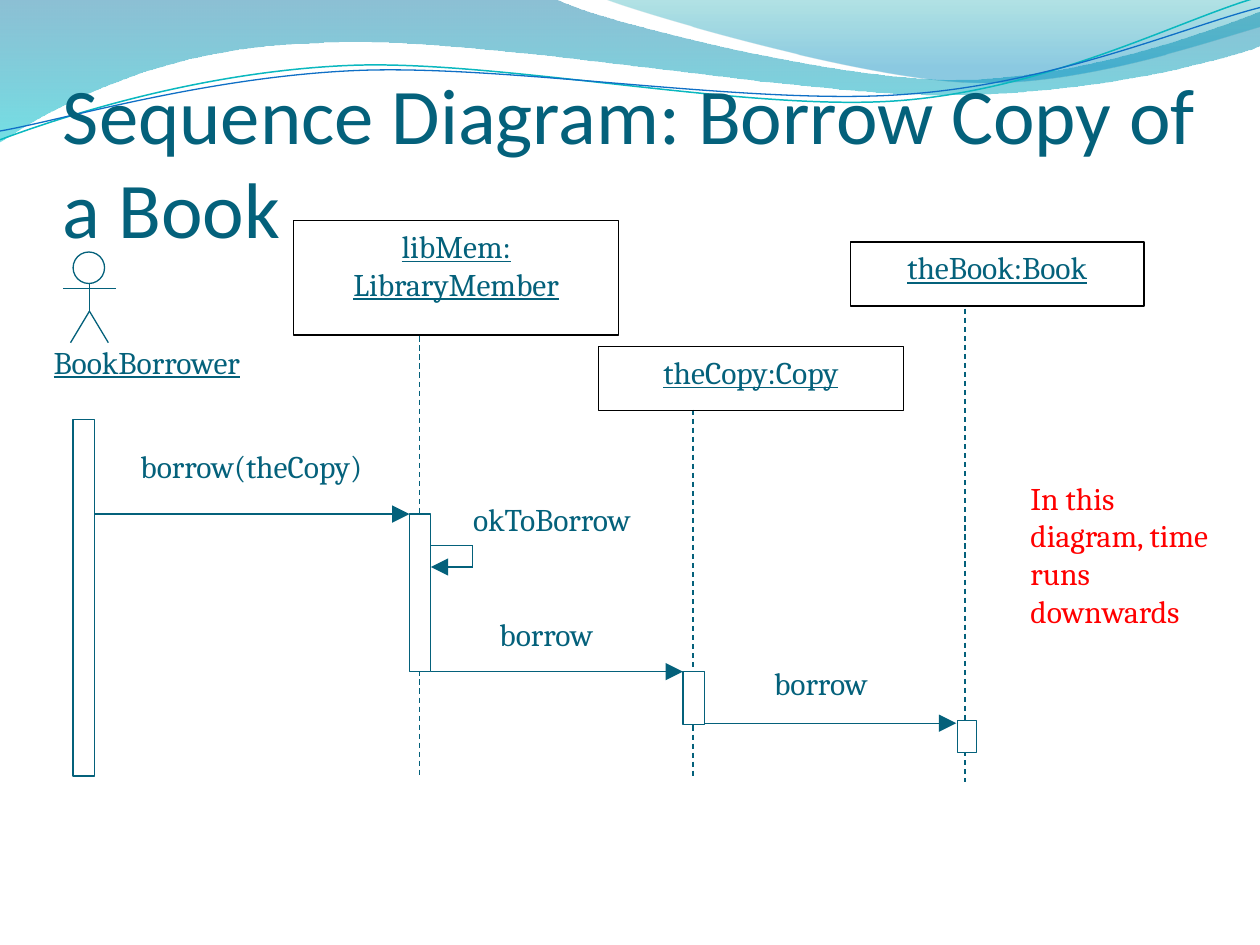
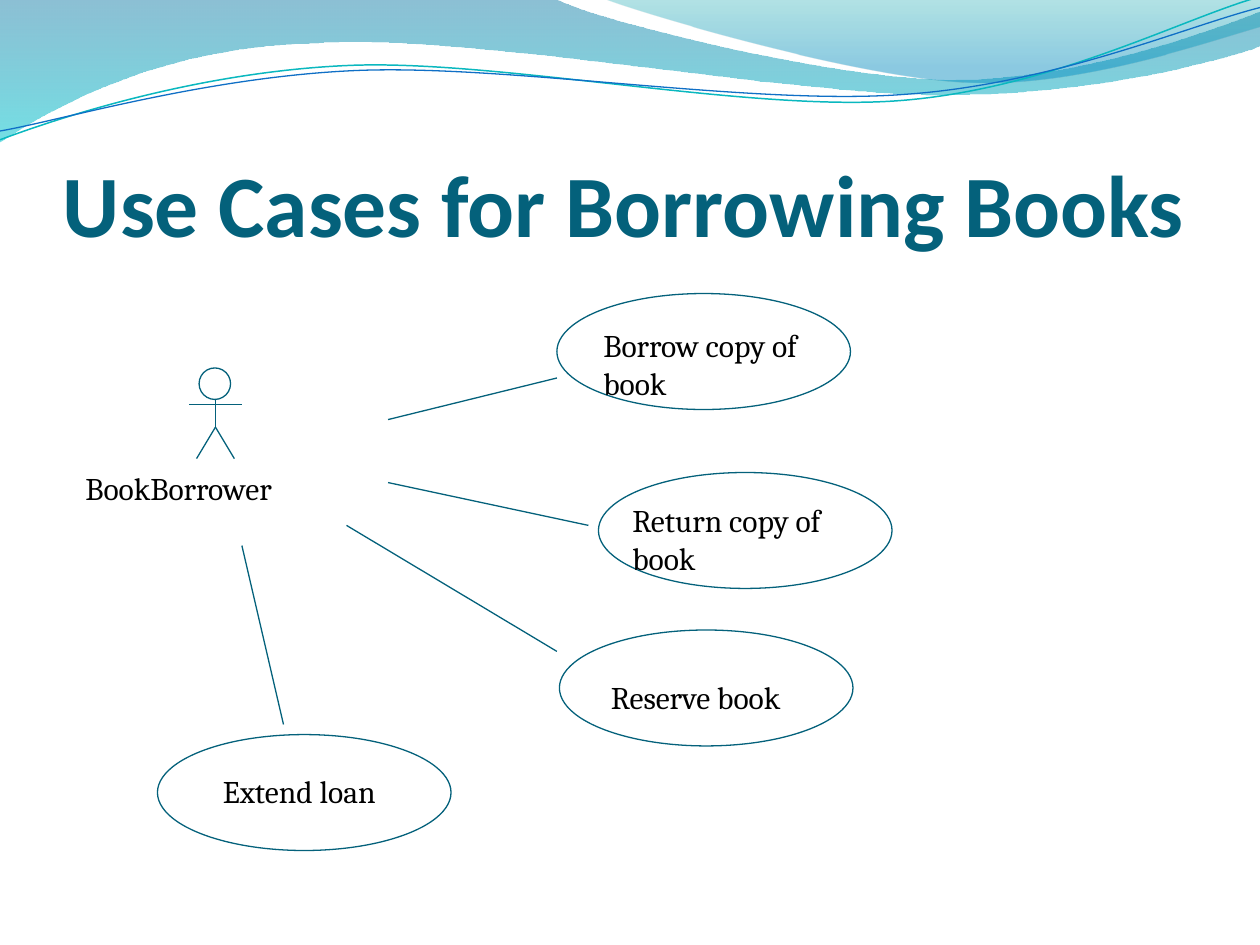
from pptx import Presentation
from pptx.dml.color import RGBColor
from pptx.enum.dml import MSO_LINE
from pptx.enum.shapes import MSO_CONNECTOR, MSO_SHAPE
from pptx.enum.text import MSO_ANCHOR, PP_ALIGN
from pptx.oxml.ns import qn
from pptx.util import Inches, Pt
from lxml.etree import SubElement

rgb = RGBColor.from_string
RECT, OVAL = MSO_SHAPE.RECTANGLE, MSO_SHAPE.OVAL
LEFT, CENTER = PP_ALIGN.LEFT, PP_ALIGN.CENTER
TEAL, BLACK, WHITE, RED = "04617B", "000000", "FFFFFF", "FF0000"
HEADING, BODY = "Calibri", "Cambria"


def add_line(shapes, start, end, dashed=False, arrow=False):
    ends = [Inches(value) for value in (*start, *end)]
    connector = shapes.add_connector(MSO_CONNECTOR.STRAIGHT, *ends)
    connector.line.color.rgb = rgb(TEAL)
    connector.line.width = Pt(0.75)
    if dashed:
        connector.line.dash_style = MSO_LINE.DASH
    properties = connector._element.spPr
    if arrow:
        SubElement(properties.find(qn("a:ln")), qn("a:tailEnd"),
                   type="triangle", w="lg", len="lg")
    SubElement(properties, qn("a:effectLst"))


def add_box(shapes, kind, box, text="", line=TEAL, fill=None, color=TEAL, size=18,
            font=BODY, align=CENTER, underline=None, bold=None):
    """Add an outlined shape, or a plain text box when kind is None."""
    area = [Inches(value) for value in box]
    if kind is None:
        shape = shapes.add_textbox(*area)
    else:
        shape = shapes.add_shape(kind, *area)
        shape.shadow.inherit = False
        shape.line.color.rgb = rgb(line)
        shape.line.width = Pt(0.75)
        if fill:
            shape.fill.solid()
            shape.fill.fore_color.rgb = rgb(fill)
        else:
            shape.fill.background()
    if text:
        frame = shape.text_frame
        frame.word_wrap = True
        frame.vertical_anchor = MSO_ANCHOR.TOP
        paragraph = frame.paragraphs[0]
        paragraph.text = text
        paragraph.alignment = align
        paragraph.font.name = font
        paragraph.font.size = Pt(size)
        paragraph.font.color.rgb = rgb(color)
        paragraph.font.underline = underline
        paragraph.font.bold = bold
    return shape


# Filled waves: start, segments (2 numbers: line, 6: curve), gradient (place, colour, opacity)
bands = [
    ((0, 0), [(4.4, -0.01), (4.76, 0.17, 6.64, 0.63, 7.58, 0.63),
              (8.53, 0.63, 9.58, 0.26, 10, 0.09), (10.01, 0.36),
              (9.83, 0.44, 8.7, 0.76, 7.46, 0.75), (6.22, 0.75, 3.82, 0.28, 2.57, 0.34),
              (1.29, 0.36, 0.46, 0.83, -0.01, 1.13)],
     [(0, "0074A1", 45), (1, "00C6CF", 55)]),
    ((4.79, -0.01), [(5.09, 0.11, 6.82, 0.62, 7.69, 0.65),
                     (8.56, 0.69, 9.61, 0.32, 10, 0.21), (10, 0)],
     [(0, "00A1A9", 30), (0.8, "008BBF", 45)]),
]
# Wave lines: start, segments, (colour, width)
strands = [
    ((0, 1.11), [(0.48, 0.93, 1.58, 0.57, 2.77, 0.52), (3.95, 0.47, 5.93, 0.89, 7.13, 0.8),
                 (8.33, 0.71, 9.38, 0.15, 9.98, -0.02)], ("0AB8BF", 0.85)),
    ((0, 1.04), [(0.47, 0.96, 1.64, 0.61, 2.83, 0.56), (4.03, 0.51, 5.97, 0.84, 7.17, 0.75),
                 (8.36, 0.67, 9.41, 0.21, 10, 0.06)], ("0F6FC6", 0.75)),
]

prs = Presentation()
prs.slide_width, prs.slide_height = Inches(10), Inches(7.5)

# Shared parts: waves, title and actor (title, size, bold, actor left and top)
pages = []
for title, size, bold, x, y in [
    ("Sequence Diagram: Borrow Copy of a Book", 45, False, 0.5, 2),
    ("Use Cases for Borrowing Books", 50, True, 1.5, 2.92),
]:
    shapes = prs.slides.add_slide(prs.slide_layouts[6]).shapes
    pages.append(shapes)

    for start, segments, style in bands + strands:
        is_band = isinstance(style, list)
        builder = shapes.build_freeform(Inches(start[0]), Inches(start[1]))
        builder.add_line_segments([(Inches(segment[-2]), Inches(segment[-1]))
                                   for segment in segments], close=is_band)
        wave = builder.convert_to_shape()
        wave.shadow.inherit = False

        # Bend the segments that have control points
        strokes = list(wave._element.iter(qn("a:lnTo")))
        for stroke, segment in zip(strokes, segments):
            if len(segment) == 6:
                end_point = stroke[0]
                stroke.tag = qn("a:cubicBezTo")
                for control in (segment[0:2], segment[2:4]):
                    SubElement(stroke, qn("a:pt"), x=str(Inches(control[0]) - wave.left),
                               y=str(Inches(control[1]) - wave.top))
                stroke.append(end_point)

        if is_band:
            wave.line.fill.background()
            wave.fill.gradient()
            wave.fill.gradient_angle = 270
            for stop, (place, color, opacity) in zip(wave.fill.gradient_stops, style):
                stop.position = place
                stop.color.rgb = rgb(color)
            stop_colors = wave._element.spPr.iter(qn("a:srgbClr"))
            for stop_color, (place, color, opacity) in zip(stop_colors, style):
                SubElement(stop_color, qn("a:alpha"), val=str(opacity * 1000))
        else:
            wave.fill.background()
            wave.line.color.rgb = rgb(style[0])
            wave.line.width = Pt(style[1])

    heading = add_box(shapes, None, (0.5, 0.77, 9, 1.25), title, size=size,
                      font=HEADING, align=LEFT, bold=bold).text_frame
    heading.vertical_anchor = MSO_ANCHOR.BOTTOM
    heading.margin_left = heading.margin_right = heading.margin_bottom = 0

    actor = shapes.add_group_shape().shapes
    add_box(actor, OVAL, (x + 0.08, y, 0.25, 0.25))
    hip = (x + 0.21, y + 0.47)
    add_line(actor, (x + 0.21, y + 0.25), hip)
    add_line(actor, (x, y + 0.29), (x + 0.42, y + 0.29))
    for foot in (0.06, 0.36):
        add_line(actor, hip, (x + foot, y + 0.72))

sequence, use_cases = pages

# Sequence diagram: lifelines
for x, top, bottom in [(7.66, 2.45, 6.21), (5.5, 3.25, 6.17), (3.33, 2.67, 6.17)]:
    add_line(sequence, (x, top), (x, bottom), dashed=True)

# Participants
add_box(sequence, None, (0, 2.67, 2.33, 0.5), "BookBorrower", underline=True)
for name, box in [
    ("libMem: LibraryMember", (2.33, 1.75, 2.58, 0.91)),
    ("theCopy:Copy", (4.75, 2.75, 2.42, 0.51)),
    ("theBook:Book", (6.75, 1.92, 2.33, 0.51)),
]:
    add_box(sequence, RECT, box, name, line=BLACK, underline=True)

# Activation bars
for box, fill in [
    ((0.58, 3.33, 0.17, 2.83), None),
    ((3.25, 4.08, 0.17, 1.25), WHITE),
    ((5.42, 5.33, 0.17, 0.42), WHITE),
    ((7.6, 5.72, 0.15, 0.25), WHITE),
]:
    add_box(sequence, RECT, box, fill=fill)

# Messages; the call to itself turns back in three strokes
for start, end, arrow in [
    ((0.75, 4.08), (3.25, 4.08), True),
    ((3.42, 4.33), (3.75, 4.33), False),
    ((3.75, 4.33), (3.75, 4.5), False),
    ((3.75, 4.5), (3.42, 4.5), True),
    ((3.42, 5.33), (5.42, 5.33), True),
    ((5.59, 5.74), (7.59, 5.74), True),
]:
    add_line(sequence, start, end, arrow=arrow)
for message, x, y, width in [
    ("borrow(theCopy)", 0.58, 3.5, 2.83),
    ("okToBorrow", 3.13, 3.92, 2.5),
    ("borrow", 3.67, 4.83, 1.33),
    ("borrow", 5.85, 5.22, 1.33),
]:
    add_box(sequence, None, (x, y, width, 0.5), message)
add_box(sequence, None, (8.08, 3.75, 1.75, 1.7), "In this diagram, time runs downwards",
        color=RED, align=LEFT)

# Use cases: oval corner, label box, link from the actor
add_box(use_cases, None, (0.58, 3.67, 2.33, 0.5), "BookBorrower", color=BLACK, align=LEFT)
for use_case, corner, label, start, end in [
    ("Borrow copy of book", (4.42, 2.33), (4.69, 2.54, 2.25, 0.9), (3.08, 3.33), (4.42, 3)),
    ("Return copy of book", (4.75, 3.75), (4.92, 3.93, 2.17, 0.9), (3.08, 3.83), (4.67, 4.17)),
    ("Reserve book", (4.44, 5), (4.75, 5.33, 1.75, 0.9), (2.75, 4.17), (4.42, 5.17)),
    ("Extend loan", (1.25, 5.83), (1.67, 6.08, 1.67, 0.9), (1.92, 4.33), (2.25, 5.75)),
]:
    add_box(use_cases, OVAL, (*corner, 2.33, 0.92))
    add_box(use_cases, None, label, use_case, color=BLACK, align=LEFT)
    add_line(use_cases, start, end)

prs.save("out.pptx")
